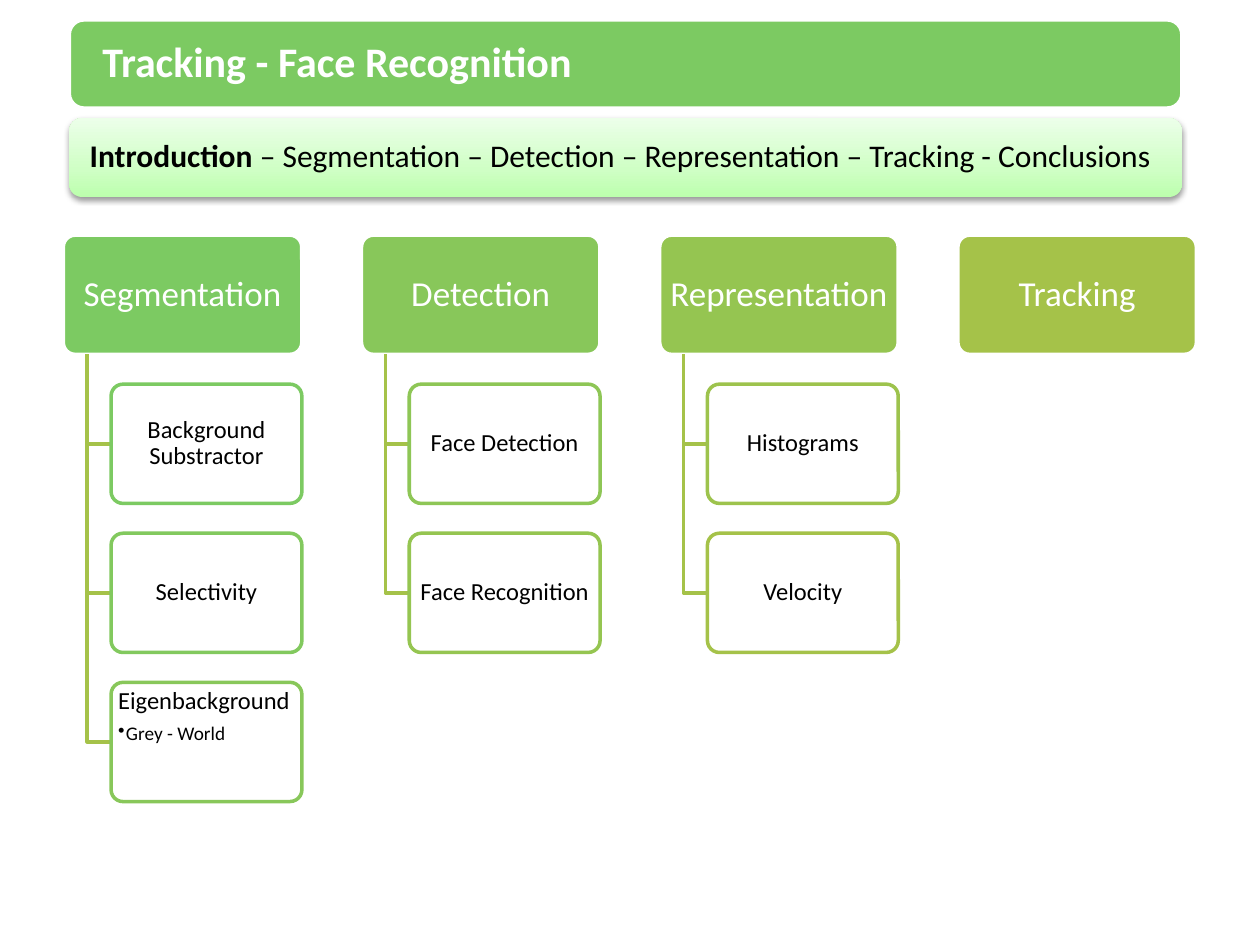
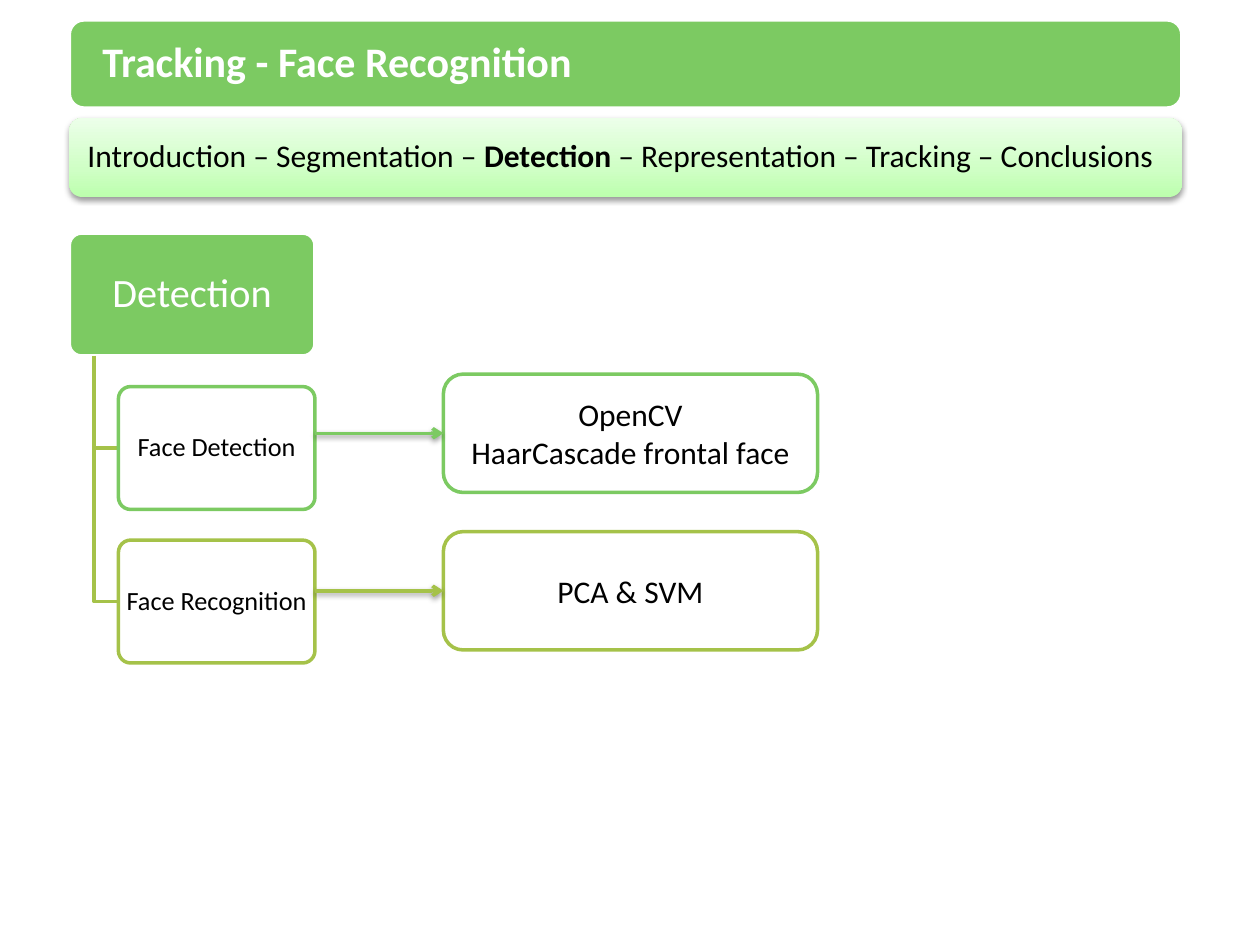
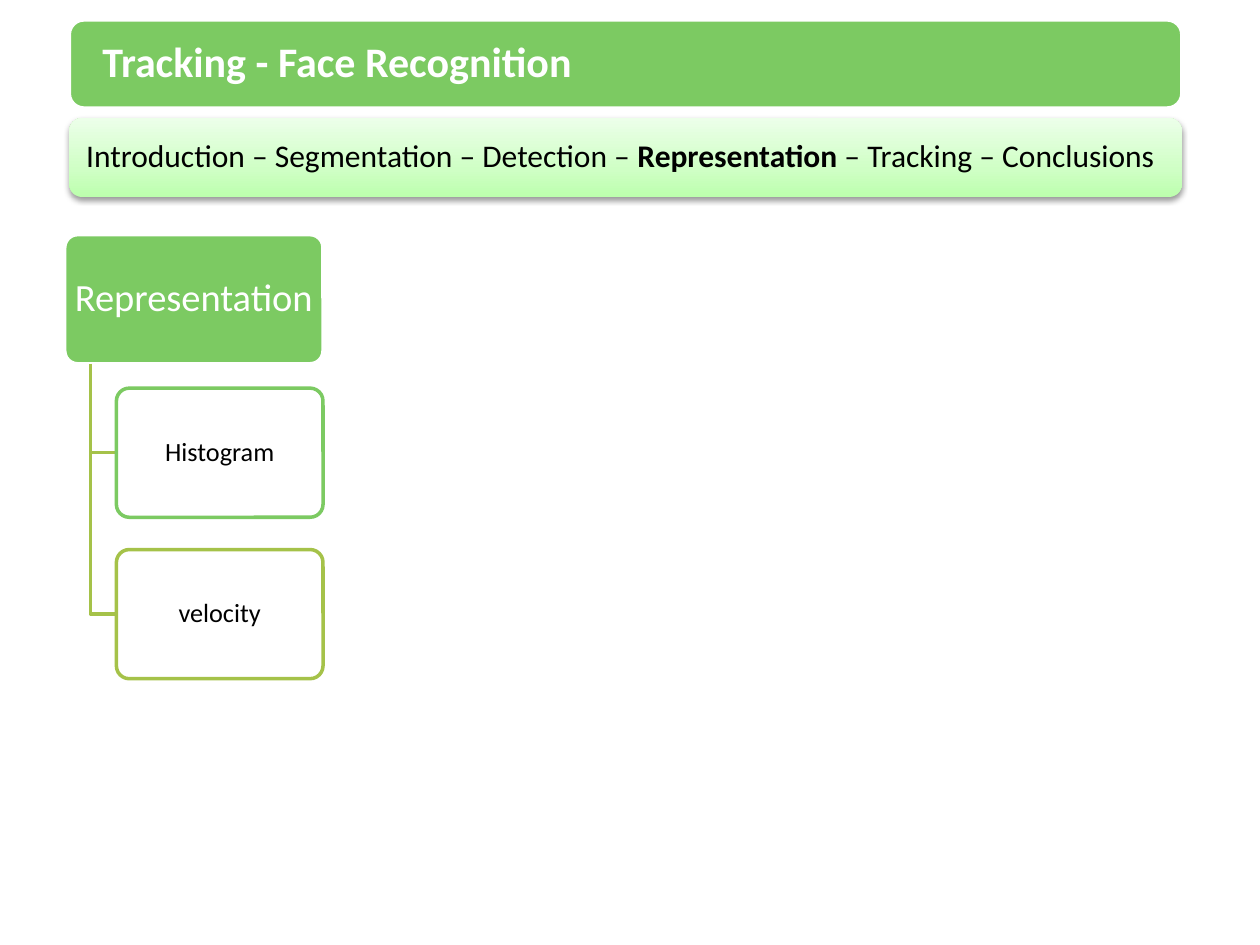
from lxml.etree import SubElement
from pptx import Presentation
from pptx.dml.color import RGBColor
from pptx.enum.shapes import MSO_CONNECTOR as Connector, MSO_SHAPE as Shape
from pptx.enum.text import MSO_ANCHOR as Anchor, PP_ALIGN as Align
from pptx.oxml import parse_xml
from pptx.oxml.ns import nsdecls, qn
from pptx.util import Pt

# Shared style
FONT = "Calibri"
GREEN, OLIVE, WHITE, BLACK = "7CCA62", "A5C249", "FFFFFF", "000000"
TITLE = "Tracking - Face Recognition"
BAND_LEFT, BAND_WIDTH = 39.6, 635.8
color = RGBColor.from_string
GRADIENT = f"""<a:gradFill {nsdecls("a")} rotWithShape="1"><a:gsLst>
<a:gs pos="0"><a:srgbClr val="BCFFAD"/></a:gs>
<a:gs pos="35000"><a:srgbClr val="CFFFC5"/></a:gs>
<a:gs pos="100000"><a:srgbClr val="ECFFE9"/></a:gs>
</a:gsLst><a:lin ang="16200000" scaled="1"/></a:gradFill>"""
SHADOW = f"""<a:effectLst {nsdecls("a")}>
<a:outerShdw blurRad="40000" dist="20000" dir="5400000" rotWithShape="0">
<a:srgbClr val="000000"><a:alpha val="38000"/></a:srgbClr></a:outerShdw></a:effectLst>"""

# Each navigation line: text before, current section, text after
# Each tree: left, head text, head colour, children as (text, outline)
SLIDES = [
    {
        "navigation": ("", "Introduction",
                       " – Segmentation – Detection – Representation – Tracking - Conclusions"),
        "top": 134.4, "width": 136.3, "gap": 17, "head_size": 20, "child_size": 14,
        "trees": [
            (36.2, "Segmentation", GREEN, [("Background Substractor", GREEN),
                                           ("Selectivity", "82C95E"),
                                           ("Eigenbackground", "88C75A")]),
            (206.6, "Detection", "88C75A", [("Face Detection", "8EC656"),
                                            ("Face Recognition", "95C551")]),
            (377, "Representation", "95C551", [("Histograms", "9DC34D"), ("Velocity", OLIVE)]),
            (547.4, "Tracking", OLIVE, []),
        ],
        "bullets": {"Eigenbackground": "Grey - World"},
        "details": [],
    },
    {
        "navigation": ("Introduction – Segmentation – ", "Detection",
                       " – Representation – Tracking – Conclusions"),
        "top": 133.2, "width": 140.4, "gap": 17.5, "head_size": 23, "child_size": 15,
        "trees": [(39.6, "Detection", GREEN, [("Face Detection", GREEN),
                                              ("Face Recognition", OLIVE)])],
        "bullets": {},
        "details": [(["OpenCV", "HaarCascade frontal face"], GREEN), (["PCA & SVM"], OLIVE)],
    },
    {
        "navigation": ("Introduction – Segmentation – Detection – ", "Representation",
                       " – Tracking – Conclusions"),
        "top": 134.1, "width": 147.6, "gap": 13.9, "head_size": 22, "child_size": 15,
        "trees": [(37, "Representation", GREEN, [("Histogram", GREEN), ("velocity", OLIVE)])],
        "bullets": {},
        "details": [],
    },
]


def add_box(slide, left, top, width, height, fill, outline, corner=0.1, inset=2):
    shape = slide.shapes.add_shape(Shape.ROUNDED_RECTANGLE,
                                   Pt(left), Pt(top), Pt(width), Pt(height))
    shape.adjustments[0] = corner
    shape.shadow.inherit = False
    shape.fill.solid()
    shape.fill.fore_color.rgb = color(fill)
    shape.line.color.rgb = color(outline)
    shape.line.width = Pt(2)
    frame = shape.text_frame
    frame.word_wrap = True
    frame.vertical_anchor = Anchor.MIDDLE
    frame.margin_left = frame.margin_right = Pt(inset)
    frame.margin_top = frame.margin_bottom = Pt(1.5)
    return shape


def write(paragraph, runs, size, ink, align=Align.CENTER, spacing=0.9):
    paragraph.alignment = align
    paragraph.line_spacing = spacing
    for text, bold in runs:
        run = paragraph.add_run()
        run.text = text
        run.font.name = FONT
        run.font.size = Pt(size)
        run.font.bold = bold
        run.font.color.rgb = color(ink)


presentation = Presentation()
presentation.slide_width, presentation.slide_height = Pt(720), Pt(540)

for content in SLIDES:
    slide = presentation.slides.add_slide(presentation.slide_layouts[6])

    # Title band
    title = add_box(slide, BAND_LEFT, 11.4, BAND_WIDTH, 50.4, GREEN, WHITE, 0.1667, 16.5)
    write(title.text_frame.paragraphs[0], [(TITLE, True)], 24, WHITE, Align.LEFT)

    # Navigation band with the current section in bold
    band = add_box(slide, BAND_LEFT, 67.4, BAND_WIDTH, 45.2, WHITE, WHITE, 0.1667, 6)
    band.line.fill.background()
    band.text_frame.margin_right = Pt(12)
    properties = band._element.spPr
    properties.replace(properties.find(qn("a:solidFill")), parse_xml(GRADIENT))
    properties.replace(properties.find(qn("a:effectLst")), parse_xml(SHADOW))
    before, current, after = content["navigation"]
    runs = [(text, bold) for text, bold in ((before, False), (current, True), (after, False))
            if text]
    write(band.text_frame.paragraphs[0], runs, 18, BLACK)

    # Trees: a head with children hanging from a stem
    top, width = content["top"], content["width"]
    height = width / 2
    for left, head_text, head_color, children in content["trees"]:
        head = add_box(slide, left, top, width, height, head_color, WHITE)
        write(head.text_frame.paragraphs[0], [(head_text, False)], content["head_size"], WHITE)
        stem_left, child_left = left + 0.1 * width, left + 0.2 * width
        for row, (text, outline) in enumerate(children):
            child_top = top + height + content["gap"] + row * 0.625 * width
            middle = child_top + height / 2
            builder = slide.shapes.build_freeform(Pt(stem_left), Pt(top + height))
            builder.add_line_segments([(Pt(stem_left), Pt(middle)),
                                       (Pt(child_left), Pt(middle))], close=False)
            elbow = builder.convert_to_shape()
            elbow.shadow.inherit = False
            elbow.fill.background()
            elbow.line.color.rgb = color(OLIVE)
            elbow.line.width = Pt(2)

            child = add_box(slide, child_left, child_top, 0.8 * width, height, WHITE, outline)
            frame = child.text_frame
            bullet = content["bullets"].get(text)
            write(frame.paragraphs[0], [(text, False)], content["child_size"], BLACK,
                  Align.LEFT if bullet else Align.CENTER)
            if bullet:
                frame.vertical_anchor = Anchor.TOP
                frame.paragraphs[0].space_after = Pt(4.9)
                paragraph = frame.add_paragraph()
                write(paragraph, [(bullet, False)], 11, BLACK, Align.LEFT)
                paragraph.level = 1
                settings = paragraph._p.get_or_add_pPr()
                settings.set("marL", str(Pt(4.5)))
                settings.set("indent", str(Pt(-4.5)))
                SubElement(settings, qn("a:buChar")).set("char", "•")

    # Methods, each reached by an arrow from its child
    for row, (lines, outline) in enumerate(content["details"]):
        detail_top = 213.8 + 90 * row
        detail = add_box(slide, 253.4, detail_top, 213.8, 67.6, WHITE, outline, 0.1667, 7.2)
        frame = detail.text_frame
        for number, line in enumerate(lines):
            paragraph = frame.add_paragraph() if number else frame.paragraphs[0]
            write(paragraph, [(line, False)], 18, BLACK, spacing=1)
        middle = Pt(detail_top + 33.8)
        arrow = slide.shapes.add_connector(Connector.STRAIGHT, Pt(180), middle,
                                           Pt(253.4), middle)
        arrow.end_connect(detail, 1)
        arrow.line.color.rgb = color(outline)
        arrow.line.width = Pt(2)
        SubElement(arrow.line._get_or_add_ln(), qn("a:tailEnd")).set("type", "arrow")
        arrow._element.spPr.append(parse_xml(SHADOW))

presentation.save("out.pptx")
